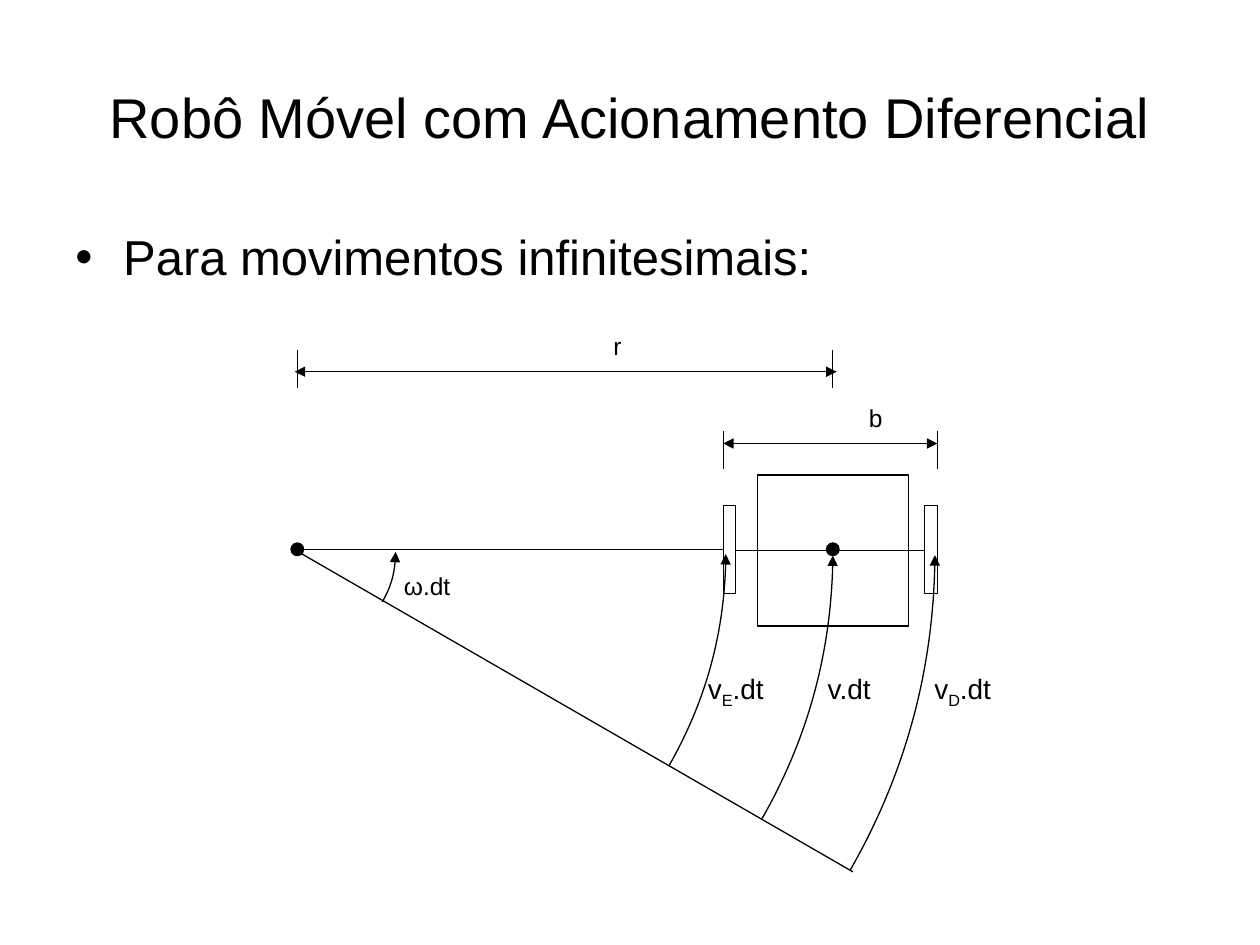
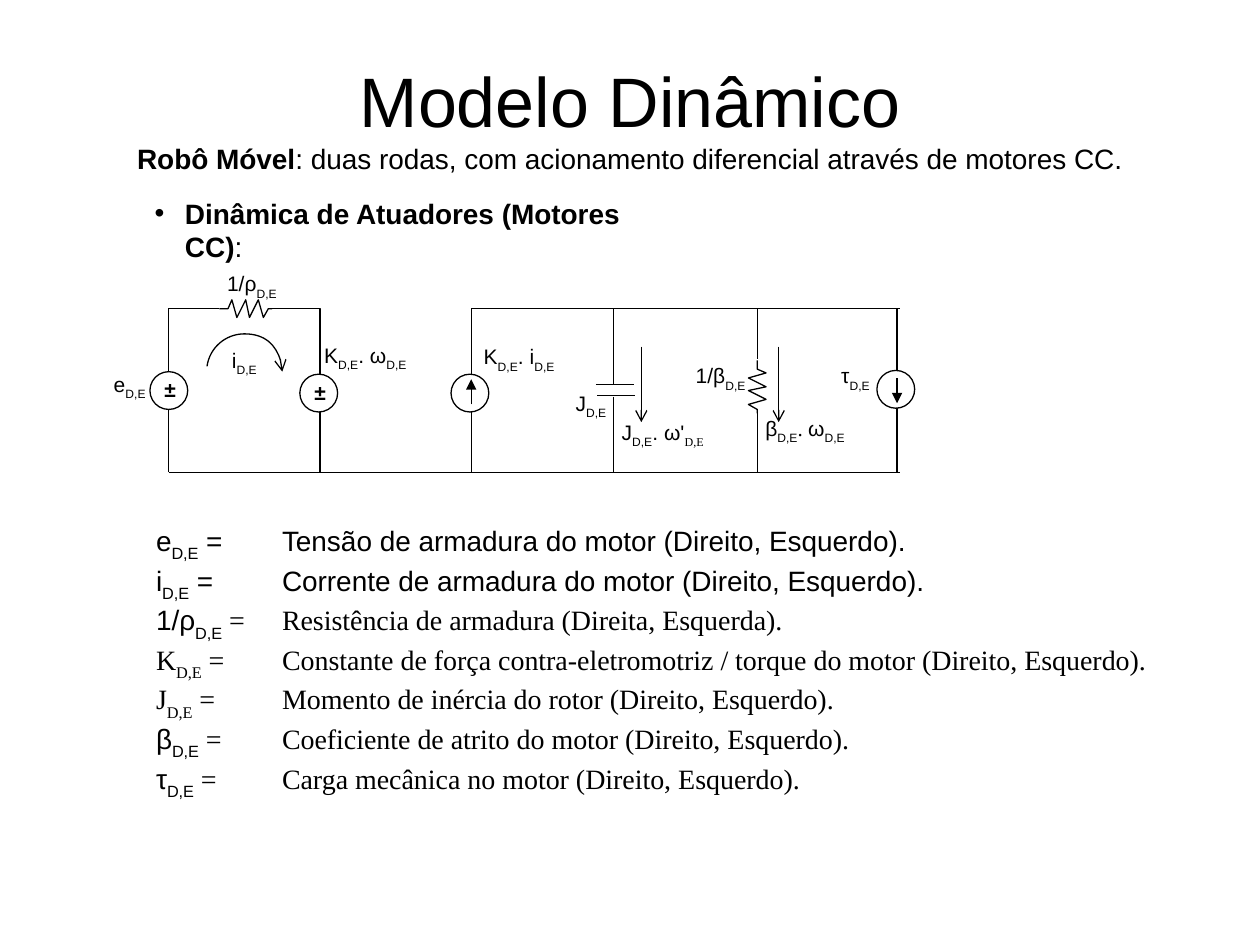
from copy import deepcopy
from itertools import pairwise
from math import cos, radians, sin, tan

from lxml import etree
from pptx import Presentation
from pptx.dml.color import RGBColor
from pptx.enum.shapes import MSO_CONNECTOR, MSO_SHAPE
from pptx.enum.text import MSO_ANCHOR, PP_ALIGN
from pptx.oxml.ns import qn
from pptx.util import Inches, Pt

COLORS = {"ink": "000000", "paper": "FFFFFF"}
SANS, SERIF = "Arial", "Times New Roman"
LINE_WIDTH = 0.75
STRAIGHT = MSO_CONNECTOR.STRAIGHT
RECT, OVAL = MSO_SHAPE.RECTANGLE, MSO_SHAPE.OVAL
TOP, MIDDLE = MSO_ANCHOR.TOP, MSO_ANCHOR.MIDDLE
LEFT, CENTER = PP_ALIGN.LEFT, PP_ALIGN.CENTER


def color(name):
    return RGBColor.from_string(COLORS[name])


class Deck:
    """Holds the shared style and the slide being drawn."""

    def __init__(self):
        self.prs = Presentation()
        self.prs.slide_width, self.prs.slide_height = Inches(10), Inches(7.5)
        self.slide = None

    def new_slide(self):
        self.slide = self.prs.slides.add_slide(self.prs.slide_layouts[6])
        self.slide.background.fill.solid()
        self.slide.background.fill.fore_color.rgb = color("paper")

    def stroke(self, shape, head=None, tail=None):
        shape.line.color.rgb = color("ink")
        shape.line.width = Pt(LINE_WIDTH)
        ln = shape.element.spPr.find(qn("a:ln"))
        for tag, kind in (("a:headEnd", head), ("a:tailEnd", tail)):
            if kind:
                etree.SubElement(ln, qn(tag), type=kind)

    def line(self, x1, y1, x2, y2, head=None, tail=None):
        connector = self.slide.shapes.add_connector(
            STRAIGHT, Inches(x1), Inches(y1), Inches(x2), Inches(y2))
        self.stroke(connector, head, tail)
        etree.SubElement(connector.element.spPr, qn("a:effectLst"))

    def shape(self, kind, x, y, w, h, fill="paper"):
        shape = self.slide.shapes.add_shape(kind, Inches(x), Inches(y), Inches(w), Inches(h))
        shape.shadow.inherit = False
        shape.fill.solid()
        shape.fill.fore_color.rgb = color(fill)
        self.stroke(shape)

    def polyline(self, points, tail=None, close=False):
        points = [(Inches(x), Inches(y)) for x, y in points]
        builder = self.slide.shapes.build_freeform(*points[0])
        builder.add_line_segments(points[1:], close=close)
        outline = builder.convert_to_shape()
        outline.shadow.inherit = False
        outline.fill.background()
        self.stroke(outline, tail=tail)
        return outline

    def arc(self, center, radius, angles, tail):
        """Bezier arc through the angles (degrees, clockwise) in an unstroked sector."""
        def polar(angle, along):
            return (center[0] + radius * (cos(angle) - along * sin(angle)),
                    center[1] + radius * (sin(angle) + along * cos(angle)))

        angles = [radians(angle) for angle in angles]
        points = [polar(angles[0], 0)]
        for start, end in pairwise(angles):
            handle = 4 / 3 * tan((end - start) / 4)
            points += [polar(start, handle), polar(end, -handle), polar(end, 0)]
        outline = self.polyline(points + [center], tail, close=True)

        # Join every three segments into a curve; the last one goes to the centre
        sector = outline.element.spPr.find(".//" + qn("a:path"))
        segments = sector.findall(qn("a:lnTo"))
        for i in range(0, len(segments) - 1, 3):
            curve = etree.Element(qn("a:cubicBezTo"))
            segments[i].addprevious(curve)
            for segment in segments[i:i + 3]:
                curve.append(segment[0])
                sector.remove(segment)
        rim = deepcopy(sector)
        for child in rim[-2:]:
            rim.remove(child)
        rim.set("fill", "none")
        sector.set("stroke", "0")
        sector.addprevious(rim)

    def text(self, x, y, w, h, paragraphs, size, align=CENTER, anchor=TOP,
             hanging=None, tab=None, wrap=True):
        """Each paragraph is a list of (text, font options); ~x~ sets x as subscript."""
        box = self.slide.shapes.add_textbox(Inches(x), Inches(y), Inches(w), Inches(h))
        frame = box.text_frame
        frame.word_wrap = wrap
        frame.vertical_anchor = anchor
        for i, runs in enumerate(paragraphs):
            p = frame.paragraphs[0] if i == 0 else frame.add_paragraph()
            p.alignment = align
            props = p._p.get_or_add_pPr()
            if hanging:
                props.set("marL", str(Inches(hanging)))
                props.set("indent", str(-Inches(hanging)))
                etree.SubElement(props, qn("a:buFont"), typeface=SANS)
                etree.SubElement(props, qn("a:buChar"), char="•")
            if tab:
                stops = etree.SubElement(props, qn("a:tabLst"))
                etree.SubElement(stops, qn("a:tab"), pos=str(Inches(tab)), algn="l")
            p.font.name, p.font.size = SANS, Pt(size)
            p.font.color.rgb = color("ink")
            for content, options in runs:
                self.runs(p, content, **options)

    def runs(self, p, content, font=None, size=None, bold=None, base="-30000"):
        if content == "\n":
            p.add_line_break()
            return
        for i, piece in enumerate(content.split("~")):
            if not piece:
                continue
            run = p.add_run()
            run.text = piece
            if font:
                run.font.name = font
            if size:
                run.font.size = Pt(size)
            if bold:
                run.font.bold = True
            if i % 2:
                run.font._element.set("baseline", base)

    def title(self, runs, size):
        self.text(0.5, 0.3, 9, 1.25, [runs], size, anchor=MIDDLE)

    def label(self, content, x, y, w, h=0.3, size=12, **options):
        runs = [(content, options)] if isinstance(content, str) else content
        self.text(x, y, w, h, [runs], size)


def differential_drive(deck):
    deck.new_slide()
    deck.title([("Robô Móvel com Acionamento Diferencial", {})], 32)
    deck.text(0.5, 1.75, 9, 4.95, [[("Para movimentos infinitesimais:", {})]], 28,
              LEFT, hanging=0.38)

    # Wheel distance b
    wheel_left, wheel_right, axle_y = 5.74, 7.44, 4.37
    deck.line(wheel_left, 3.52, wheel_right, 3.52, "triangle", "triangle")
    for x in (wheel_left, wheel_right):
        deck.line(x, 3.42, x, 3.72)

    # Robot: wheels, body and axle
    for x in (wheel_left, wheel_right - 0.1):
        deck.shape(RECT, x, 4.01, 0.1, 0.7)
    deck.shape(RECT, 6.01, 3.77, 1.2, 1.2)
    deck.line(wheel_left + 0.1, axle_y, wheel_right - 0.1, axle_y)
    deck.label("b", 6.65, 3.15, 0.6, 0.5, 14)

    # Turning radius r
    deck.shape(OVAL, 2.31, 4.31, 0.1, 0.1, "ink")
    deck.line(2.34, 4.36, wheel_left, 4.36)
    deck.shape(OVAL, 6.56, 4.31, 0.1, 0.1, "ink")
    deck.line(2.34, 2.95, 6.64, 2.95, "triangle", "triangle")
    deck.line(2.35, axle_y, 6.77, 6.92)
    deck.label("r", 4.6, 2.58, 0.6, 0.5, 14)
    for x in (2.36, 6.61):
        deck.line(x, 2.78, x, 3.08)

    # Displacement arcs around the turning centre
    for radius, end in ((0.8, 0), (3.42, 0.3), (5.08, 0.3), (4.27, 0.4)):
        deck.arc((2.34, 4.38), radius, (29.8, end), "triangle")
    deck.label("ω.dt", 3.04, 4.48, 0.7, 0.4, 14)
    for i, arc_name in enumerate(("v~E~.dt", "v.dt", "v~D~.dt")):
        deck.label(arc_name, 5.44 + 0.9 * i, 5.28, 0.8, 0.5, 16, base="-25000")


def dynamic_model(deck):
    deck.new_slide()
    deck.title([("Modelo Dinâmico", {}), ("\n", {}),
                ("Robô Móvel", {"size": 16, "bold": True}),
                (": duas rodas, com acionamento diferencial através de motores CC.",
                 {"size": 16})], 40)
    deck.text(1.13, 1.51, 4.27, 0.64,
              [[("Dinâmica de Atuadores (Motores CC)", {"bold": True}), (":", {})]],
              16, LEFT, hanging=0.24)

    # Armature loop with its two voltage sources
    top, bottom = 2.45, 3.75
    for x, inner in ((1.34, 1.74), (2.54, 2.14)):
        deck.polyline([(x, bottom), (x, top), (inner, top)])
    for x, y in ((1.19, 2.95), (2.38, 2.97)):
        deck.shape(OVAL, x, y, 0.3, 0.3)
        deck.label("±", x - 0.04, y - 0.01, 0.4, bold=True)

    # Resistors: along and across the zigzag axis
    zigzag = [(0, 0), (0.07, 0), (0.1, -0.07), (0.14, 0.07), (0.21, -0.07),
              (0.24, 0.07), (0.31, -0.07), (0.35, 0.07), (0.39, 0), (0.42, 0)]
    deck.polyline([(1.74 + along, top + across) for along, across in zigzag])
    deck.polyline([(6.01 - across, 2.86 + along) for along, across in zigzag])
    deck.line(6.01, top, 6.01, 2.85)
    deck.line(6.01, bottom, 6.01, 3.25)

    # Capacitor
    deck.line(4.87, top, 4.87, 3.05)
    deck.line(4.73, 3.05, 5.03, 3.05)
    deck.line(4.74, 3.14, 5.04, 3.14)
    deck.line(4.87, 3.15, 4.87, bottom)

    # Current sources
    for x, y, start, end in ((3.74, 2.97, 3.21, 3.01), (7.12, 2.94, 3, 3.2)):
        deck.line(x, top, x, bottom)
        deck.shape(OVAL, x - 0.16, y, 0.3, 0.3)
        deck.line(x, start, x, end, tail="triangle")

    # Circuit rails
    deck.line(1.34, bottom, 7.14, bottom)
    deck.line(3.74, top, 7.14, top)

    # Loop and branch currents
    deck.arc((1.94, 2.95), 0.3, (188, 270, 360), "arrow")
    for x in (5.09, 6.18):
        deck.line(x, 2.75, x, 3.35, tail="arrow")

    # Circuit labels
    for content, x, y, w in (
            ("1/ρ~D,E~", 1.65, 2.1, 0.7),
            ("e~D,E~", 0.78, 2.9, 0.5),
            ("i~D,E~", 1.69, 2.71, 0.5),
            ("K~D,E~. ω~D,E~", 2.45, 2.67, 0.9),
            ("K~D,E~. i~D,E~", 3.67, 2.68, 0.9),
            ("J~D,E~", 4.44, 3.05, 0.5),
            ([("J~D,E~. ω'", {}), ("~D,E~", {"font": SERIF})], 4.81, 3.28, 0.9),
            ("1/β~D,E~", 5.37, 2.83, 0.7),
            ([("β~D,E~", {}), (". ", {"font": SERIF}), ("ω~D,E~", {})], 5.94, 3.25, 0.9),
            ("τ~D,E~", 6.44, 2.83, 0.7)):
        deck.label(content, x, y, w)

    # Meaning of each symbol
    definitions = [
        ("e", SANS, SANS, "Tensão de armadura do motor (Direito, Esquerdo)."),
        ("i", SANS, SANS, "Corrente de armadura do motor (Direito, Esquerdo)."),
        ("1/ρ", SANS, SERIF, "Resistência de armadura (Direita, Esquerda)."),
        ("K", SERIF, SERIF,
         "Constante de força contra-eletromotriz / torque do motor (Direito, Esquerdo)."),
        ("J", SERIF, SERIF, "Momento de inércia do rotor (Direito, Esquerdo)."),
        ("β", SANS, SERIF, "Coeficiente de atrito do motor (Direito, Esquerdo)."),
        ("τ", SANS, SERIF, "Carga mecânica no motor (Direito, Esquerdo)."),
    ]
    deck.text(1.14, 3.82, 8.06, 2.87,
              [[(f"{symbol}~D,E~", {"font": symbol_font}),
                (f" = \t{meaning}", {"font": meaning_font})]
               for symbol, symbol_font, meaning_font, meaning in definitions],
              16, LEFT, MIDDLE, tab=1, wrap=False)


def main():
    deck = Deck()
    differential_drive(deck)
    dynamic_model(deck)
    deck.prs.save("out.pptx")


if __name__ == "__main__":
    main()
